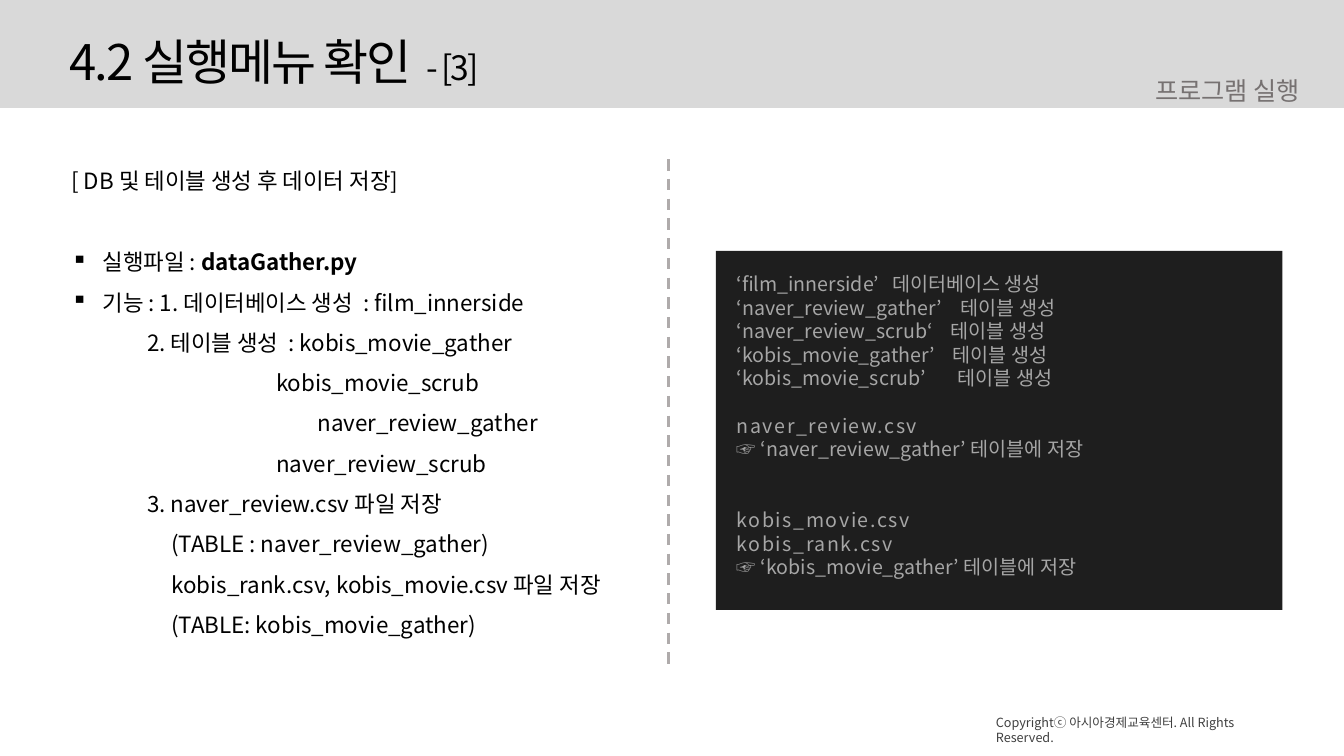
from dataclasses import dataclass, field
from typing import Any

from lxml.etree import SubElement
from pptx import Presentation
from pptx.dml.color import RGBColor
from pptx.enum.dml import MSO_LINE
from pptx.enum.shapes import MSO_CONNECTOR, MSO_SHAPE
from pptx.enum.text import MSO_ANCHOR, MSO_AUTO_SIZE, PP_ALIGN
from pptx.oxml.ns import qn
from pptx.shapes.autoshape import Shape
from pptx.slide import Slide
from pptx.text.text import TextFrame
from pptx.util import Emu, Pt

PX = 9144


@dataclass(frozen=True)
class Theme:
    font: str = "Noto Sans CJK KR"
    ink: str = "000000"
    band: str = "D9D9D9"
    panel: str = "1E1E1E"
    section: str = "767171"
    copyright: str = "404040"
    divider: str = "AFABAB"
    output: str = "A6A6A6"
    title_size: int = 35
    gap_size: int = 48
    page_size: int = 24
    section_size: int = 18
    body_size: int = 16
    output_size: int = 14
    copyright_size: int = 9


THEME = Theme()


@dataclass(frozen=True)
class Box:
    left: int
    top: int
    width: int
    height: int

    def emu(self) -> tuple[Emu, ...]:
        return tuple(Emu(n * PX) for n in (self.left, self.top, self.width, self.height))


@dataclass(frozen=True)
class Piece:
    text: str
    size: int
    color: str
    bold: bool = False
    spacing: int = 0


@dataclass(frozen=True)
class Line:
    pieces: list[Piece]
    format: dict[str, Any] = field(default_factory=dict)
    indent: int = 0
    bullet: str = ""
    tab: int = 0


def set_all(target: Any, values: dict[str, Any]) -> None:
    for name, value in values.items():
        setattr(target, name, value)


def write(frame: TextFrame, lines: list[Line], frame_format: dict[str, Any]) -> None:
    set_all(frame, frame_format)
    for number, line in enumerate(lines):
        paragraph = frame.add_paragraph() if number else frame.paragraphs[0]
        set_all(paragraph, line.format)
        properties = paragraph._p.get_or_add_pPr()
        if line.indent:
            properties.set("marL", str(line.indent * PX))
        if line.bullet:
            properties.set("indent", str(-line.indent * PX))
            SubElement(properties, qn("a:buChar"), char=line.bullet)
        if line.tab:
            stops = SubElement(properties, qn("a:tabLst"))
            SubElement(stops, qn("a:tab"), pos=str(line.tab * PX), algn="l")
        for piece in line.pieces:
            run = paragraph.add_run()
            run.text = piece.text
            set_all(run.font, {"name": THEME.font, "size": Pt(piece.size), "bold": piece.bold})
            run.font.color.rgb = RGBColor.from_string(piece.color)
            run_properties = run.font._element
            SubElement(run_properties, qn("a:ea"), typeface=THEME.font)
            if piece.spacing:
                run_properties.set("spc", str(piece.spacing))


def add_text(slide: Slide, box: Box, lines: list[Line], wrap: bool = True) -> None:
    frame = slide.shapes.add_textbox(*box.emu()).text_frame
    write(frame, lines, {"word_wrap": wrap, "auto_size": MSO_AUTO_SIZE.SHAPE_TO_FIT_TEXT})


def add_panel(slide: Slide, box: Box, color: str) -> Shape:
    panel = slide.shapes.add_shape(MSO_SHAPE.RECTANGLE, *box.emu())
    panel.shadow.inherit = False
    panel.fill.solid()
    panel.fill.fore_color.rgb = RGBColor.from_string(color)
    panel.line.fill.background()
    return panel


def add_divider(slide: Slide, x: int, top: int, bottom: int) -> None:
    divider = slide.shapes.add_connector(
        MSO_CONNECTOR.STRAIGHT, *(Emu(n * PX) for n in (x, top, x, bottom))
    )
    divider.line.color.rgb = RGBColor.from_string(THEME.divider)
    set_all(divider.line, {"width": Pt(2), "dash_style": MSO_LINE.DASH})
    SubElement(divider.element.spPr, qn("a:effectLst"))


def step(text: str, indent: int = 0, bullet: str = "", strong: str = "", before: int = 0) -> Line:
    pieces = [Piece(text, THEME.body_size, THEME.ink)]
    if strong:
        pieces.append(Piece(strong, THEME.body_size, THEME.ink, bold=True))
    return Line(pieces, {"line_spacing": 1.5, "space_before": Pt(before)}, indent, bullet)


def result(text: str, tab: int = 0, spacing: int = 0, before: int = 0) -> Line:
    piece = Piece(text, THEME.output_size, THEME.output, spacing=spacing)
    return Line([piece], {"space_before": Pt(before)}, tab=tab)


STEPS = [
    step("[ DB 및 테이블 생성 후 데이터 저장]"),
    step("실행파일 : ", 31, "▪", strong="dataGather.py", before=29),
    step("기능 : 1. 데이터베이스 생성  : film_innerside", 31, "▪"),
    step("2. 테이블 생성  : kobis_movie_gather", 75),
    step("kobis_movie_scrub", 203),
    step("naver_review_gather", 244),
    step("naver_review_scrub", 203),
    step("3. naver_review.csv 파일 저장", 75),
    step("(TABLE : naver_review_gather)", 99),
    step("kobis_rank.csv, kobis_movie.csv 파일 저장", 99),
    step("(TABLE: kobis_movie_gather)", 99),
]

RESULTS = [
    result("‘film_innerside’\t데이터베이스 생성", 154),
    result("‘naver_review_gather’\t테이블 생성", 222),
    result("‘naver_review_scrub‘\t테이블 생성", 212),
    result("‘kobis_movie_gather’\t테이블 생성", 214),
    result("‘kobis_movie_scrub’\t테이블 생성", 219),
    result("naver_review.csv", spacing=110, before=17),
    result("☞ ‘naver_review_gather’ 테이블에 저장"),
    result("kobis_movie.csv", spacing=110, before=34),
    result("kobis_rank.csv", spacing=110),
    result("☞ ‘kobis_movie_gather’ 테이블에 저장"),
]

HEADING = [
    Line(
        [
            Piece("4.2 실행메뉴 확인", THEME.title_size, THEME.ink, spacing=-150),
            Piece(" ", THEME.gap_size, THEME.ink, spacing=-150),
            Piece("- [3]", THEME.page_size, THEME.ink, spacing=-150),
        ],
        {"line_spacing": 0.9, "alignment": PP_ALIGN.LEFT},
    )
]

SECTION = [
    Line(
        [Piece("프로그램 실행", THEME.section_size, THEME.section)],
        {"line_spacing": 2.0, "alignment": PP_ALIGN.RIGHT},
    )
]

COPYRIGHT = [
    Line([Piece("Copyrightⓒ 아시아경제교육센터. All Rights Reserved.", THEME.copyright_size, THEME.copyright)])
]


def main() -> None:
    deck = Presentation()
    set_all(deck, {"slide_width": Emu(1333 * PX), "slide_height": Emu(750 * PX)})
    slide = deck.slides.add_slide(deck.slide_layouts[5])
    heading = slide.shapes.title
    output_panel = add_panel(slide, Box(710, 249, 562, 356), THEME.panel)
    header_band = add_panel(slide, Box(0, 0, 1333, 107), THEME.band)
    for backdrop in (output_panel, header_band):
        heading.element.addprevious(backdrop.element)
    set_all(heading, dict(zip(("left", "top", "width", "height"), Box(59, 18, 651, 81).emu())))
    write(
        heading.text_frame,
        HEADING,
        {"vertical_anchor": MSO_ANCHOR.BOTTOM, "auto_size": MSO_AUTO_SIZE.NONE, "word_wrap": True},
    )
    add_text(slide, Box(1130, 40, 169, 59), SECTION, wrap=False)
    add_text(slide, Box(978, 704, 306, 25), COPYRIGHT)
    add_text(slide, Box(61, 148, 568, 490), STEPS)
    add_divider(slide, 663, 158, 665)
    add_text(slide, Box(721, 265, 408, 316), RESULTS)
    deck.save("out.pptx")


if __name__ == "__main__":
    main()
